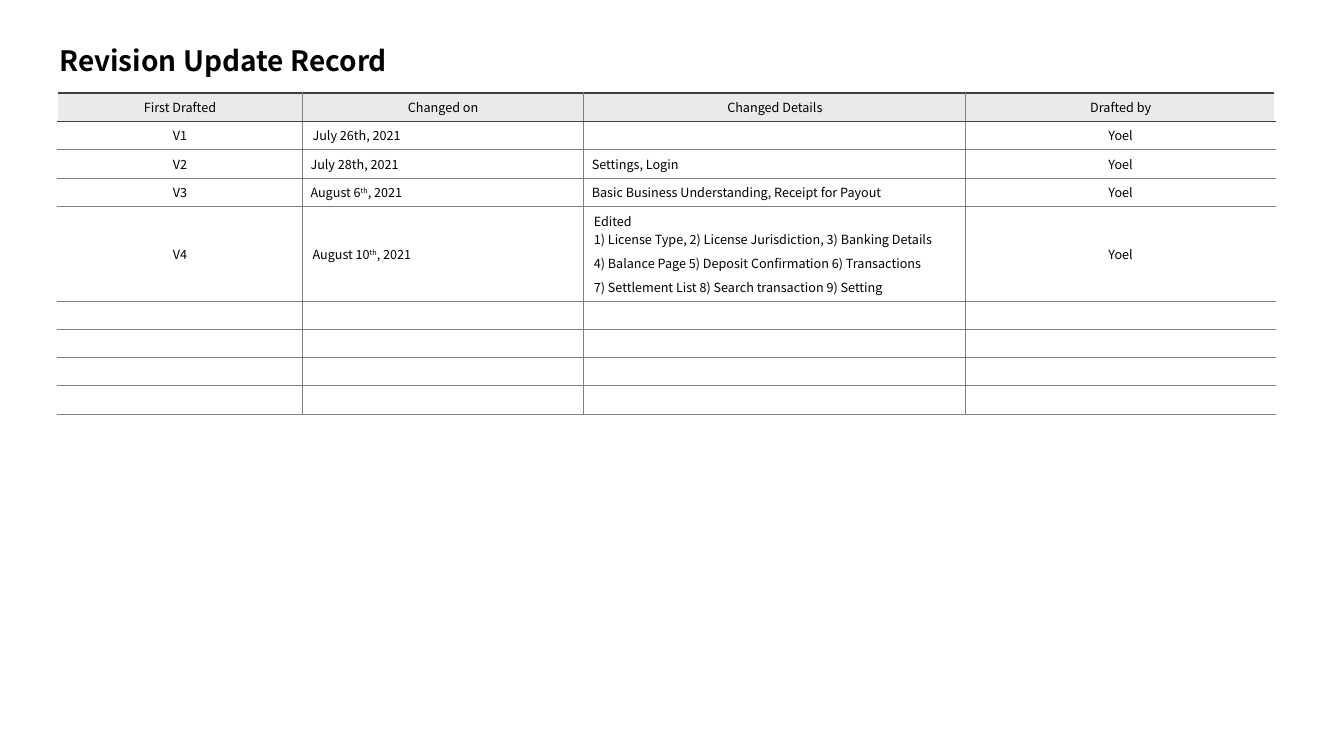
"""Build the revision update record slide."""
from dataclasses import dataclass

from lxml import etree
from pptx import Presentation, util as u
from pptx.dml.color import RGBColor
from pptx.enum import text
from pptx.oxml.ns import qn

TITLE = "Revision Update Record"
HEADER = ("First Drafted", "Changed on", "Changed Details", "Drafted by")
EDITS = """Edited
1) License Type, 2) License Jurisdiction, 3) Banking Details""", \
    "4) Balance Page 5) Deposit Confirmation 6) Transactions", \
    "7) Settlement List 8) Search transaction 9) Setting"
REVISIONS = [
    ("V1", "July 26th, 2021", "", "Yoel"),
    ("V2", "July 28th, 2021", "Settings, Login", "Yoel"),
    ("V3", "August 6^th^, 2021", "Basic Business Understanding, Receipt for Payout", "Yoel"),
    ("V4", "August 10^th^, 2021", EDITS, "Yoel"),
]
SPARE_ROWS = 4
ROWS = [HEADER, *REVISIONS, *[("",) * len(HEADER)] * SPARE_ROWS]

SLIDE_SIZE = (13.33, 7.5)
TITLE_BOX = (0.49, 0.36, 9.83, 0.45)
TABLE_ORIGIN = (0.57, 0.92)
COLUMN_WIDTHS = (2.43, 2.79, 3.79, 3.07)
ROW_HEIGHT, TALL_ROW_HEIGHT = 0.28, 0.94
CENTERED_COLUMNS = (0, 3)
TIGHT_ROWS = (2, 3)
WIDE_INSETS, TIGHT_INSETS = (0.1, 0.05), (0.08, 0)


@dataclass(frozen=True)
class Theme:
    font: str = "Noto Sans CJK KR"
    ink: str = "000000"
    paper: str = "FFFFFF"
    header_fill: str = "EAEAEA"
    header_line: str = "404040"
    grid_line: str = "808080"
    title_size: int = 20
    body_size: int = 9
    thin: float = 0.75
    thick: float = 1.5


THEME = Theme()


def write(frame, content, *, size=THEME.body_size, bold=False, centered=False, spacing=0):
    """Fill a text frame; ^ marks superscript and a newline breaks the line."""
    paragraphs = (content,) if isinstance(content, str) else content
    for index, line_group in enumerate(paragraphs):
        paragraph = frame.add_paragraph() if index else frame.paragraphs[0]
        paragraph.alignment = text.PP_ALIGN.CENTER if centered else text.PP_ALIGN.LEFT
        if spacing:
            paragraph.space_after = u.Pt(spacing)
            if index:
                paragraph.space_before = u.Pt(spacing)
        if not line_group:
            etree.SubElement(paragraph._p, qn("a:endParaRPr"), sz=str(size * 100))
            continue
        for line_index, line in enumerate(line_group.split("\n")):
            if line_index:
                paragraph.add_line_break()
            for part_index, part in enumerate(line.split("^")):
                run = paragraph.add_run()
                run.text = part
                run.font.name = THEME.font
                run.font.size = u.Pt(size)
                run.font.bold = bold
                run.font.color.rgb = RGBColor.from_string(THEME.ink)
                if part_index % 2:
                    run._r.get_or_add_rPr().set("baseline", "30000")


def set_borders(cell, borders):
    """Put border lines ahead of the fill in the cell properties."""
    properties = cell._tc.get_or_add_tcPr()
    for position, (side, (color, width)) in enumerate(borders.items()):
        line = etree.Element(qn(f"a:ln{side}"), w=str(u.Pt(width)))
        fill = etree.SubElement(line, qn("a:solidFill"))
        etree.SubElement(fill, qn("a:srgbClr"), val=color)
        properties.insert(position, line)


def cell_borders(row, column):
    """Choose the lines around a cell from its place in the grid."""
    outer = (THEME.paper, THEME.thick)
    grid = (THEME.grid_line, THEME.thin)
    header = (THEME.header_line, THEME.thin)
    return {
        "L": outer if column == 0 else grid,
        "R": outer if column == len(HEADER) - 1 else grid,
        "T": ((THEME.header_line, THEME.thick), header)[row] if row < 2 else grid,
        "B": header if row == 0 else grid,
    }


def add_title(slide):
    """Place the slide heading."""
    frame = slide.shapes.add_textbox(*map(u.Inches, TITLE_BOX)).text_frame
    frame.word_wrap = True
    frame.vertical_anchor = text.MSO_ANCHOR.BOTTOM
    write(frame, TITLE, size=THEME.title_size, bold=True)


def add_record(slide):
    """Place the revision table."""
    heights = [TALL_ROW_HEIGHT if EDITS in row else ROW_HEIGHT for row in ROWS]
    extent = (*TABLE_ORIGIN, sum(COLUMN_WIDTHS), sum(heights))
    table = slide.shapes.add_table(len(ROWS), len(HEADER), *map(u.Inches, extent)).table
    table.first_row = table.horz_banding = False
    for column, width in zip(table.columns, COLUMN_WIDTHS):
        column.width = u.Inches(width)
    for row_index, (contents, height) in enumerate(zip(ROWS, heights)):
        table.rows[row_index].height = u.Inches(height)
        for column_index, content in enumerate(contents):
            cell = table.cell(row_index, column_index)
            centered = row_index == 0 or column_index in CENTERED_COLUMNS
            tight = row_index in TIGHT_ROWS and not centered
            side, edge = TIGHT_INSETS if tight else WIDE_INSETS
            cell.margin_left = cell.margin_right = u.Inches(side)
            cell.margin_top = cell.margin_bottom = u.Inches(edge)
            cell.vertical_anchor = text.MSO_ANCHOR.MIDDLE
            cell.fill.solid()
            fill = THEME.paper if row_index else THEME.header_fill
            cell.fill.fore_color.rgb = RGBColor.from_string(fill)
            set_borders(cell, cell_borders(row_index, column_index))
            spacing = 2 if content and not centered else 0
            write(cell.text_frame, content, centered=centered, spacing=spacing)


def main():
    """Create and save the presentation."""
    presentation = Presentation()
    presentation.slide_width, presentation.slide_height = map(u.Inches, SLIDE_SIZE)
    slide = presentation.slides.add_slide(presentation.slide_layouts[6])
    add_record(slide)
    add_title(slide)
    presentation.save("out.pptx")


if __name__ == "__main__":
    main()
